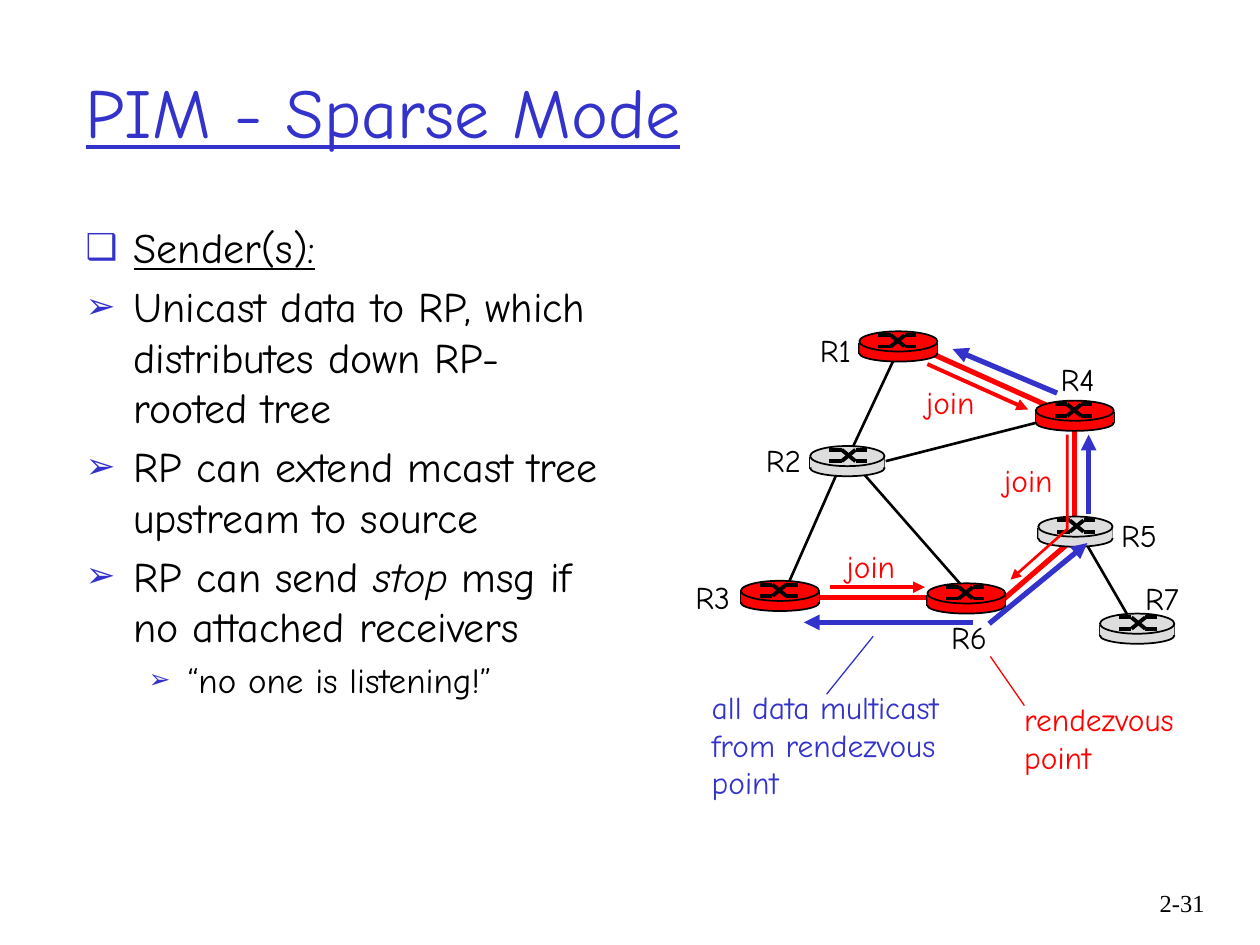
import itertools

import pptx
import pptx.util
import pptx.dml.color
import pptx.enum.shapes
import pptx.enum.text
import pptx.oxml
import pptx.oxml.ns

PX = 9144
FONT = "Comic Neue"
BLACK = pptx.dml.color.RGBColor(0x00, 0x00, 0x00)
BLUE = pptx.dml.color.RGBColor(0x33, 0x33, 0xCC)
RED = pptx.dml.color.RGBColor(0xFF, 0x00, 0x00)
GRAY = pptx.dml.color.RGBColor(0xDD, 0xDD, 0xDD)
SHAPE = pptx.enum.shapes.MSO_SHAPE
ALIGN = pptx.enum.text.PP_ALIGN

BULLETS = [
    (0, "❑", [("Sender(s):", "u")]),
    (0, "➢", [("Unicast data to RP, which distributes down RP-rooted tree", "")]),
    (0, "➢", [("RP can extend mcast tree upstream to source", "")]),
    (0, "➢", [("RP can send ", ""), ("stop ", "i"), ("msg if no attached receivers", "")]),
    (1, "➢", [("“no one is listening!”", "")]),
]
LEVELS = [(24, 38, 38, 85, 5), (20, 81, 31, 75, 4)]

LINKS = [
    (316, 166, 360, 242, BLACK, 1.5),
    (163, 111, 312, 73, BLACK, 1.5),
    (134, 108, 227, 214, BLACK, 1.5),
    (198, 25, 307, 74, RED, 3),
    (256, 221, 315, 170, RED, 3),
    (313, 85, 313, 163, RED, 3),
    (99, 219, 211, 219, RED, 3),
    (125, 119, 84, 212, BLACK, 1.5),
    (171, 27, 133, 108, BLACK, 1.5),
]
ROUTERS = [
    (196, 208, 62, RED),
    (282, 63, 62, RED),
    (48, 206, 62, RED),
    (284, 155, 59, GRAY),
    (103, 99, 59, GRAY),
    (142, 8, 62, RED),
    (333, 232, 59, GRAY),
]
LABELS = [
    (101, 3, 47, ["R1"], BLACK),
    (58, 90, 51, ["R2"], BLACK),
    (2, 199, 51, ["R3"], BLACK),
    (292, 26, 51, ["R4"], BLACK),
    (340, 150, 51, ["R5"], BLACK),
    (205, 231, 51, ["R6"], BLACK),
    (359, 200, 51, ["R7"], BLACK),
    (247, 106, 63, ["join"], RED),
    (185, 44, 63, ["join"], RED),
    (122, 174, 63, ["join"], RED),
    (15, 286, 221, ["all data multicast", "from rendezvous", "point"], BLUE),
    (263, 296, 151, ["rendezvous", "point"], RED),
]
JOINS = [(119, 211, 194, 211, RED, 2.25), (196, 34, 276, 70, RED, 2.25)]
DATA = [
    (232, 239, 98, 239, BLUE, 3),
    (245, 240, 323, 176, BLUE, 3),
    (324, 153, 324, 90, BLUE, 3),
    (299, 57, 216, 22, BLUE, 3),
]
POINTERS = [(116, 296, 153, 250, BLUE, 0.75), (246, 266, 273, 305, RED, 0.75)]
JOIN_ROUTE = [(307, 90), (307, 165), (262, 205)]


def add_element(parent, tag, **attributes):
    """Append an empty DrawingML element."""
    element = pptx.oxml.parse_xml(f"<a:{tag} {pptx.oxml.ns.nsdecls('a')}/>")
    for name, value in attributes.items():
        element.set(name, str(value))
    parent.append(element)
    return element


def add_run(p, text, size, color, font=FONT, style=""):
    """Add one formatted run."""
    r = p.add_run()
    r.text = text
    r.font.name, r.font.size = font, pptx.util.Pt(size)
    r.font.color.rgb = color
    r.font.underline = "u" in style
    r.font.italic = "i" in style


def place(sp, box):
    """Move a shape to a box in px."""
    sp.left, sp.top, sp.width, sp.height = (v * PX for v in box)


def set_line(sp, color, width, arrow=False):
    """Format an outline, with an arrowhead at its end if asked."""
    sp.line.color.rgb = color
    sp.line.width = pptx.util.Pt(width)
    if arrow:
        add_element(sp.line._get_or_add_ln(), "tailEnd", type="triangle")


def add_line(shapes, x, y, line, arrow=False):
    """Draw a straight line whose ends are relative to x, y."""
    x1, y1, x2, y2, color, width = line
    ends = [v * PX for v in (x + x1, y + y1, x + x2, y + y2)]
    sp = shapes.add_connector(pptx.enum.shapes.MSO_CONNECTOR.STRAIGHT, *ends)
    set_line(sp, color, width, arrow)
    add_element(sp._element.spPr, "effectLst")


def add_solid(shapes, kind, box, fill, outlined):
    """Draw one filled part of a router."""
    sp = shapes.add_shape(kind, *(v * PX for v in box))
    sp.shadow.inherit = False
    sp.fill.solid()
    sp.fill.fore_color.rgb = fill
    if outlined:
        set_line(sp, BLACK, 1)
    else:
        sp.line.fill.background()


def add_router(s, x, y, w, fill):
    """Draw a router as a drum with a crossed pair of paths on top."""
    shapes = s.shapes.add_group_shape().shapes
    add_solid(shapes, SHAPE.OVAL, (x, y + 11, w, 13), fill, True)
    for side in (0, w):
        add_line(shapes, x, y, (side, 9, side, 18, BLACK, 1))
    add_solid(shapes, SHAPE.RECTANGLE, (x, y + 9, w, 8), fill, False)
    add_solid(shapes, SHAPE.OVAL, (x, y, w, 16), fill, True)
    for start, end in ((3, 12), (12, 3)):
        route = [(15, start), (25, start), (36, end), (45, end)]
        for a, b in itertools.pairwise(route):
            add_line(shapes, x, y, (*a, *b, BLACK, 2.25))


def add_label(s, x, y, w, lines, color):
    """Add an unwrapped label with one paragraph per line."""
    tf = s.shapes.add_textbox(x * PX, y * PX, w * PX, (10 + 30 * len(lines)) * PX).text_frame
    tf.word_wrap = False
    tf.auto_size = pptx.enum.text.MSO_AUTO_SIZE.SHAPE_TO_FIT_TEXT
    for i, text in enumerate(lines):
        p = tf.add_paragraph() if i else tf.paragraphs[0]
        add_run(p, text, 18, color)


def add_network(s, x, y):
    """Draw the router network with its join and data flows."""
    for link in LINKS:
        add_line(s.shapes, x, y, link)
    for dx, dy, w, fill in ROUTERS:
        add_router(s, x + dx, y + dy, w, fill)
    for dx, dy, w, lines, color in LABELS:
        add_label(s, x + dx, y + dy, w, lines, color)
    points = [((x + dx) * PX, (y + dy) * PX) for dx, dy in JOIN_ROUTE]
    builder = s.shapes.build_freeform(*points[0])
    builder.add_line_segments(points[1:], close=False)
    sp = builder.convert_to_shape()
    sp.shadow.inherit = False
    sp.fill.background()
    set_line(sp, RED, 1.5, True)
    for flow in JOINS + DATA:
        add_line(s.shapes, x, y, flow, True)
    for pointer in POINTERS:
        add_line(s.shapes, x, y, pointer)


def fill_title(s, box):
    """Place and fill the title."""
    sp = s.shapes.title
    place(sp, box)
    tf = sp.text_frame
    tf.auto_size = pptx.enum.text.MSO_AUTO_SIZE.NONE
    tf.vertical_anchor = pptx.enum.text.MSO_ANCHOR.MIDDLE
    tf.paragraphs[0].alignment = ALIGN.LEFT
    add_run(tf.paragraphs[0], "PIM - Sparse Mode", 40, BLUE, style="u")


def fill_body(s, box):
    """Place the body and fill its bulleted list."""
    sp = s.placeholders[1]
    place(sp, box)
    tf = sp.text_frame
    tf.auto_size = pptx.enum.text.MSO_AUTO_SIZE.NONE
    for i, (level, mark, runs) in enumerate(BULLETS):
        size, margin, hang, percent, gap = LEVELS[level]
        p = tf.add_paragraph() if i else tf.paragraphs[0]
        p.level = level
        p.space_before = pptx.util.Pt(gap if i else 0)
        pPr = p._p.get_or_add_pPr()
        pPr.set("marL", str(margin * PX))
        pPr.set("indent", str(-hang * PX))
        add_element(add_element(pPr, "buClr"), "srgbClr", val=BLUE)
        add_element(pPr, "buSzPct", val=percent * 1000)
        add_element(pPr, "buChar", char=mark)
        for text, style in runs:
            add_run(p, text, size, BLACK, style=style)


def add_page_number(s, box):
    """Add the page number at the lower right."""
    tf = s.shapes.add_textbox(*(v * PX for v in box)).text_frame
    tf.word_wrap = True
    tf.paragraphs[0].alignment = ALIGN.RIGHT
    add_run(tf.paragraphs[0], "2-31", 14, BLACK, "Times New Roman")


def main():
    """Build the slide and save it."""
    prs = pptx.Presentation()
    prs.slide_width, prs.slide_height = 1000 * PX, 750 * PX
    s = prs.slides.add_slide(prs.slide_layouts[1])
    fill_title(s, (58, 25, 850, 125))
    fill_body(s, (58, 171, 434, 508))
    add_network(s, 540, 255)
    add_page_number(s, (892, 700, 74, 50))
    prs.save("out.pptx")


if __name__ == "__main__":
    main()
